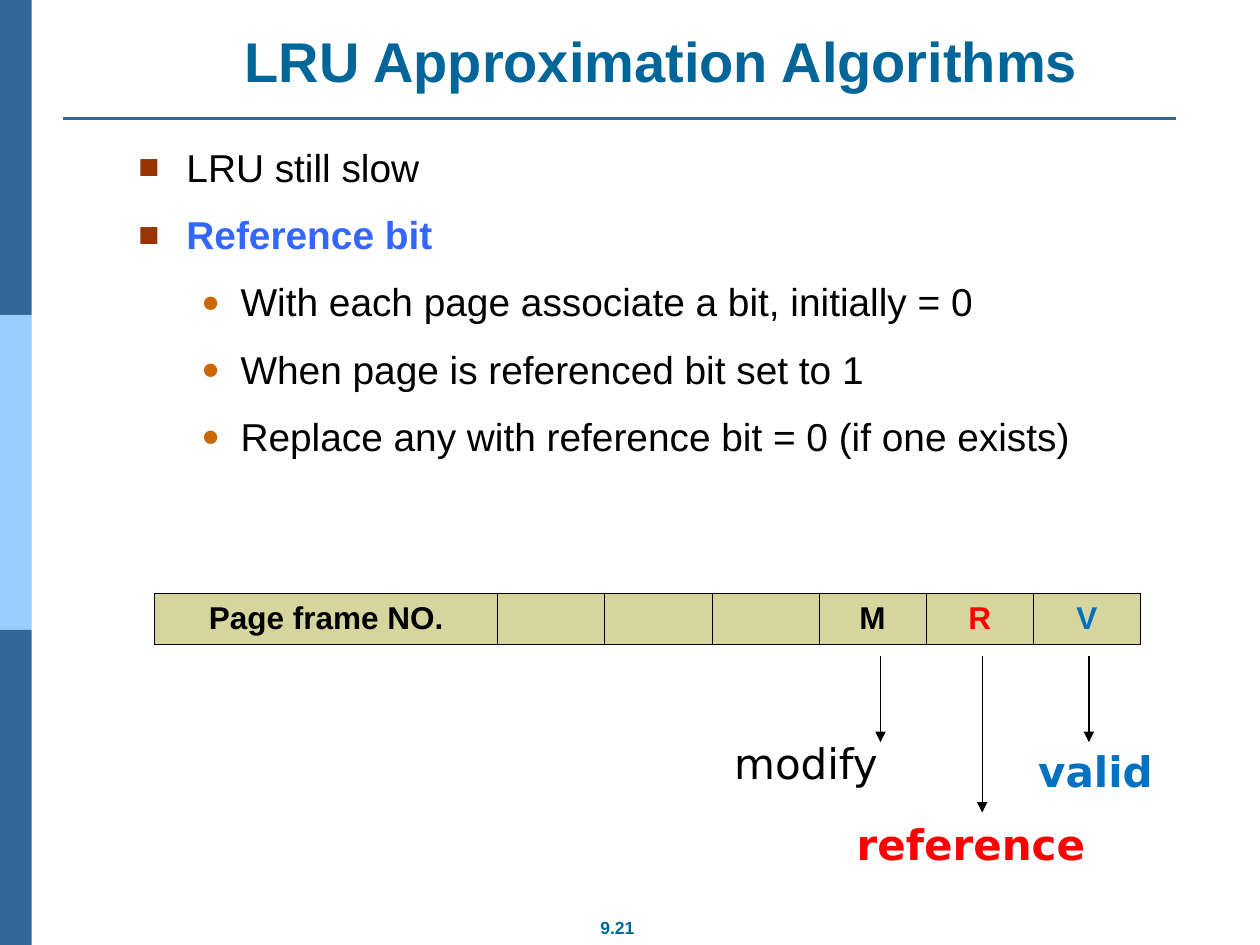
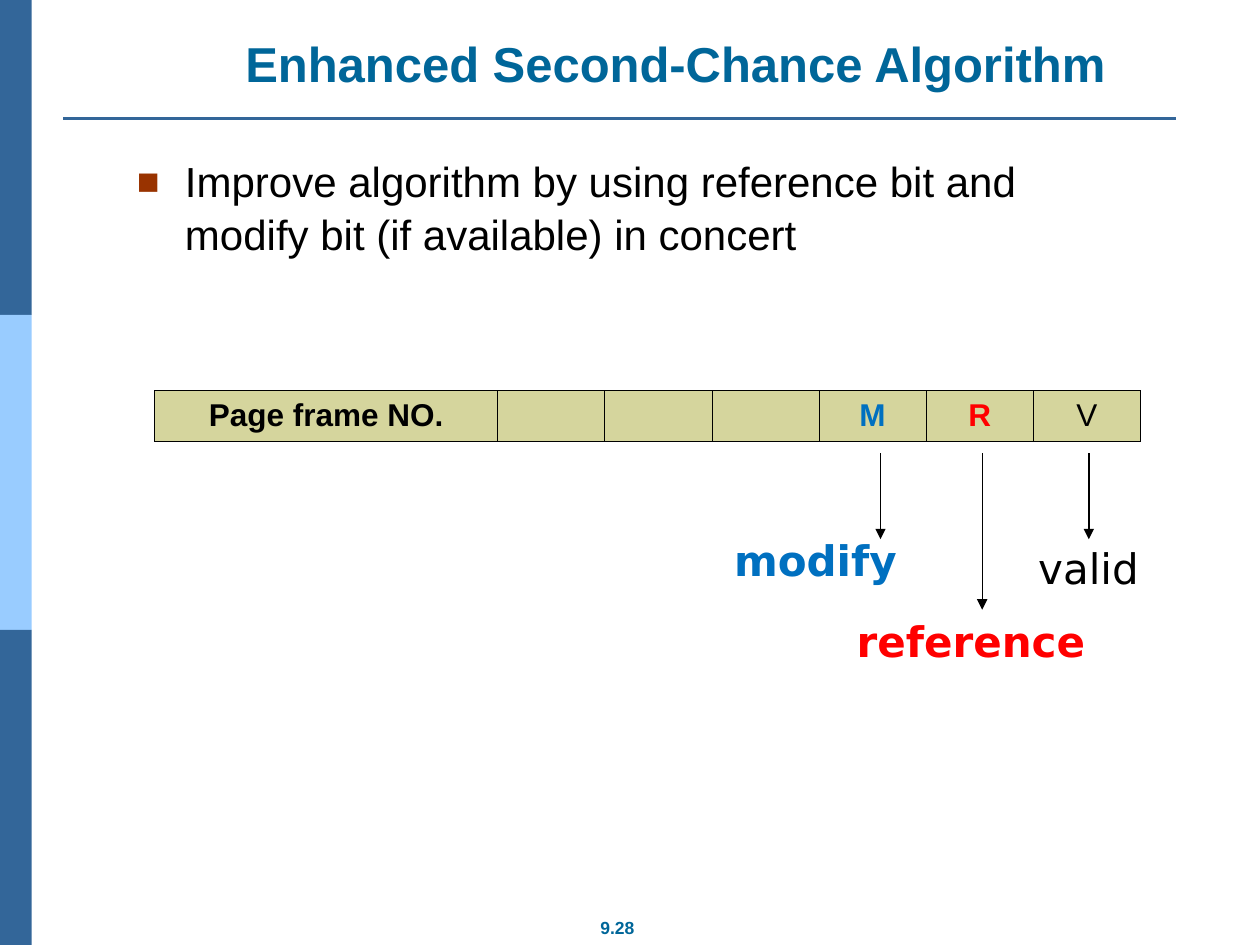
"""Build two slides on page replacement with reference, modify and valid bits."""
from lxml.etree import SubElement
from pptx import Presentation
from pptx.dml.color import RGBColor
from pptx.enum.shapes import MSO_CONNECTOR as Connector, MSO_SHAPE as Shape
from pptx.enum.text import MSO_ANCHOR as Anchor, MSO_AUTO_SIZE as AutoSize, PP_ALIGN as Align
from pptx.oxml.ns import qn
from pptx.util import Cm, Pt

BLUE, LIGHT_BLUE, TITLE_BLUE = "336699", "99CCFF", "006699"
BLACK, RED, BIT_BLUE, KEY_BLUE, KHAKI = "000000", "FF0000", "0070C0", "3366FF", "D5D59D"
BULLETS = [
    {"char": "■", "color": "993300", "size": 90, "margin": 0.97, "hanging": 0.97},
    {"char": "●", "color": "CC6600", "size": 80, "margin": 2.06, "hanging": 0.79},
]
SLIDES = [
    {
        "title": "LRU Approximation Algorithms", "title_size": 32, "title_at": (2.54, 0.41),
        "number": "9.21", "body_at": (2.54, 2.72, 20.47, 7.62), "body_size": 22.2,
        "body": [
            (0, "LRU still slow", BLACK, False),
            (0, "Reference bit", KEY_BLUE, True),
            (1, "With each page associate a bit, initially = 0", BLACK, False),
            (1, "When page is referenced bit set to 1", BLACK, False),
            (1, "Replace any with reference bit = 0 (if one exists)", BLACK, False),
        ],
        "table_top": 11.96,
        "modify": (BLACK, True, False), "valid": (BIT_BLUE, True, True),
    },
    {
        "title": "Enhanced Second-Chance Algorithm", "title_size": 28, "title_at": (2.82, 0.38),
        "number": "9.28", "body_at": (2.51, 2.97, 19.89, 14.3), "body_size": 24,
        "body": [(0, "Improve algorithm by using reference bit and modify bit (if available) in concert",
                  BLACK, False)],
        "table_top": 7.87,
        "modify": (BIT_BLUE, True, True), "valid": (BLACK, False, False),
    },
]


def rgb(code):
    """Turn a hex string into a colour."""
    return RGBColor.from_string(code)


def write(paragraph, text, color, **formats):
    """Add one formatted run to a paragraph."""
    run = paragraph.add_run()
    run.text = text
    run.font.color.rgb = rgb(color)
    for name, value in ({"name": "Arial", "bold": True} | formats).items():
        setattr(run.font, name, value)


presentation = Presentation()
presentation.slide_width, presentation.slide_height = Cm(25.4), Cm(19.05)

for content in SLIDES:
    slide = presentation.slides.add_slide(presentation.slide_layouts[5])
    shapes = slide.shapes

    for index, color in enumerate([BLUE, LIGHT_BLUE, BLUE]):
        band = shapes.add_shape(Shape.RECTANGLE, 0, Cm(6.35 * index), Cm(0.64), Cm(6.35))
        band.shadow.inherit = False
        band.fill.solid()
        band.fill.fore_color.rgb = rgb(color)
        band.line.fill.background()

    title = shapes.title
    left, top = content["title_at"]
    title.left, title.top, title.width, title.height = Cm(left), Cm(top), Cm(21.59), Cm(1.6)
    title.text_frame.auto_size = AutoSize.NONE
    title.text_frame.vertical_anchor = Anchor.BOTTOM
    paragraph = title.text_frame.paragraphs[0]
    paragraph.alignment = Align.CENTER
    write(paragraph, content["title"], TITLE_BLUE, size=Pt(content["title_size"]))

    number = shapes.add_textbox(Cm(11.2), Cm(18.36), Cm(2.49), Cm(0.69))
    paragraph = number.text_frame.paragraphs[0]
    paragraph.alignment = Align.CENTER
    write(paragraph, content["number"], TITLE_BLUE, size=Pt(10))

    body = shapes.add_textbox(*map(Cm, content["body_at"]))
    body.text_frame.word_wrap = True
    for index, (level, text, color, bold) in enumerate(content["body"]):
        paragraph = body.text_frame.add_paragraph() if index else body.text_frame.paragraphs[0]
        paragraph.level = level
        paragraph.line_spacing = 1.05
        paragraph.space_before = Pt(10.5 if index else 0)
        bullet = BULLETS[level]
        properties = paragraph._p.get_or_add_pPr()
        properties.set("marL", str(Cm(bullet["margin"])))
        properties.set("indent", str(-Cm(bullet["hanging"])))
        SubElement(SubElement(properties, qn("a:buClr")), qn("a:srgbClr"), val=bullet["color"])
        SubElement(properties, qn("a:buSzPct"), val=str(bullet["size"] * 1000))
        SubElement(properties, qn("a:buFont"), typeface="Arial")
        SubElement(properties, qn("a:buChar"), char=bullet["char"])
        write(paragraph, text, color, size=Pt(content["body_size"]), bold=bold)

    table_top = content["table_top"]
    modify_color, modify_cell_bold, modify_label_bold = content["modify"]
    valid_color, valid_cell_bold, valid_label_bold = content["valid"]
    cells = [("Page frame NO.", BLACK, True)] + [("", BLACK, True)] * 3 + [
        ("M", modify_color, modify_cell_bold), ("R", RED, True), ("V", valid_color, valid_cell_bold)]
    table = shapes.add_table(1, len(cells), Cm(3.12), Cm(table_top), Cm(19.87), Cm(1.02)).table
    for index, (text, color, bold) in enumerate(cells):
        table.columns[index].width = Cm(2.16 if index else 6.91)
        cell = table.cell(0, index)
        cell.vertical_anchor = Anchor.MIDDLE
        for side in ("a:lnL", "a:lnR", "a:lnT", "a:lnB"):
            border = SubElement(cell._tc.get_or_add_tcPr(), qn(side), w=str(Pt(0.45)))
            SubElement(SubElement(border, qn("a:solidFill")), qn("a:srgbClr"), val=BLACK)
        cell.fill.solid()
        cell.fill.fore_color.rgb = rgb(KHAKI)
        if text:
            paragraph = cell.text_frame.paragraphs[0]
            paragraph.alignment = Align.CENTER
            write(paragraph, text, color, size=Pt(18), bold=bold)

    arrow_top = table_top + 1.27
    lines = [(1.27, 2.39, 23.7, 2.39, BLUE, 1.5, False)] + [
        (x, arrow_top, x, table_top + reach, BLACK, 0.75, True)
        for x, reach in [(17.75, 3), (19.8, 4.42), (21.95, 3)]]
    for x1, y1, x2, y2, color, width, has_arrow in lines:
        line = shapes.add_connector(Connector.STRAIGHT, Cm(x1), Cm(y1), Cm(x2), Cm(y2))
        line.line.color.rgb = rgb(color)
        line.line.width = Pt(width)
        if has_arrow:
            SubElement(line.line._get_or_add_ln(), qn("a:tailEnd"), type="triangle")
        SubElement(line._element.spPr, qn("a:effectLst"))

    labels = [
        ("modify", 14.55, 2.79, 4.39, modify_color, modify_label_bold),
        ("reference", 17.02, 4.42, 5.84, RED, True),
        ("valid", 20.68, 2.95, 4.72, valid_color, valid_label_bold),
    ]
    for text, left, drop, width, color, bold in labels:
        label = shapes.add_textbox(Cm(left), Cm(table_top + drop), Cm(width), Cm(1.27))
        label.text_frame.word_wrap = True
        write(label.text_frame.paragraphs[0], text, color, name="DejaVu Sans", size=Pt(24), bold=bold)

presentation.save("out.pptx")
